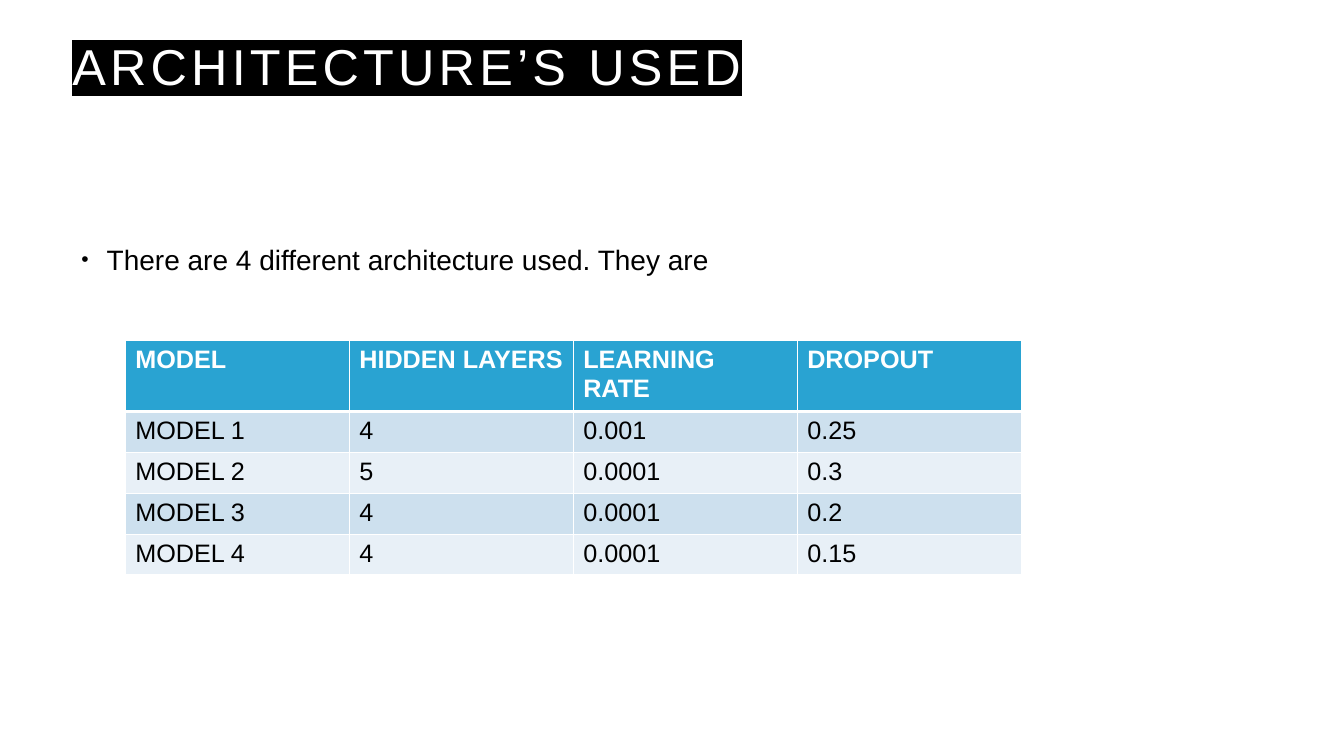
from lxml import etree
from pptx import Presentation
from pptx.dml.color import RGBColor
from pptx.enum.text import MSO_ANCHOR
from pptx.oxml.ns import qn
from pptx.util import Pt

BOTTOM, TOP = MSO_ANCHOR.BOTTOM, MSO_ANCHOR.TOP
FONT = "Arial"
WHITE, BLACK, BLUE = "FFFFFF", "000000", "29A3D2"
BANDS = ["CDE0EE", "E8F0F7"]

TITLE = "ARCHITECTURE’S USED"
POINT = "There are 4 different architecture used. They are"
ROWS = [
    ["MODEL", "HIDDEN LAYERS", "LEARNING RATE", "DROPOUT"],
    ["MODEL 1", "4", "0.001", "0.25"],
    ["MODEL 2", "5", "0.0001", "0.3"],
    ["MODEL 3", "4", "0.0001", "0.2"],
    ["MODEL 4", "4", "0.0001", "0.15"],
]
LEFT, UPPER, COL_W, ROW_H = 89.5, 243.5, 160, 29.2


def color(code):
    return RGBColor.from_string(code)


def add_tag(parent, tag, **attrs):
    return etree.SubElement(parent, qn(tag), attrs)


def add_run(para, text, size, code, bold=False):
    run = para.add_run()
    run.text = text
    font = run.font
    font.name, font.size, font.bold = FONT, Pt(size), bold
    font.color.rgb = color(code)
    return run


def add_box(slide, left, top, width, height, anchor):
    box = slide.shapes.add_textbox(Pt(left), Pt(top), Pt(width), Pt(height))
    frame = box.text_frame
    frame.word_wrap = True
    frame.vertical_anchor = anchor
    para = frame.paragraphs[0]
    para.line_spacing = 1.2
    return para


def add_title(slide):
    para = add_box(slide, 44.6, 13, 836.6, 59, BOTTOM)
    run = add_run(para, TITLE, 36, WHITE)
    props = run.font._element
    props.set("spc", "300")
    mark = etree.Element(qn("a:highlight"))
    add_tag(mark, "a:srgbClr", val=BLACK)
    props.find(qn("a:solidFill")).addnext(mark)


def add_point(slide):
    para = add_box(slide, 51.1, 164.9, 836.6, 303, TOP)
    props = para._p.get_or_add_pPr()
    props.set("marL", str(Pt(18)))
    props.set("indent", str(Pt(-18)))
    tint = add_tag(props, "a:buClr")
    add_tag(tint, "a:srgbClr", val=BLACK)
    add_tag(props, "a:buSzPct", val="75000")
    add_tag(props, "a:buFont", typeface=FONT)
    add_tag(props, "a:buChar", char="•")
    add_run(para, POINT, 20, BLACK)


def add_edges(cell, row):
    props = cell._tc.get_or_add_tcPr()
    heavy = {0: "B", 1: "T"}.get(row)
    for side in "LRTB":
        width = 3 if side == heavy else 1
        edge = add_tag(props, "a:ln" + side, w=str(Pt(width)))
        fill = add_tag(edge, "a:solidFill")
        add_tag(fill, "a:srgbClr", val=WHITE)


def add_models(slide):
    count, wide = len(ROWS), len(ROWS[0])
    table = slide.shapes.add_table(count, wide, Pt(LEFT), Pt(UPPER),
                                   Pt(COL_W * wide), Pt(ROW_H * count)).table
    for col in table.columns:
        col.width = Pt(COL_W)
    for r, items in enumerate(ROWS):
        table.rows[r].height = Pt(ROW_H)
        head = r == 0
        for c, text in enumerate(items):
            cell = table.cell(r, c)
            add_edges(cell, r)
            cell.fill.solid()
            cell.fill.fore_color.rgb = color(BLUE if head else BANDS[(r - 1) % 2])
            add_run(cell.text_frame.paragraphs[0], text, 18,
                    WHITE if head else BLACK, head)


def main():
    deck = Presentation()
    deck.slide_width, deck.slide_height = Pt(960), Pt(540)
    slide = deck.slides.add_slide(deck.slide_layouts[6])
    add_title(slide)
    add_point(slide)
    add_models(slide)
    deck.save("out.pptx")


if __name__ == "__main__":
    main()
